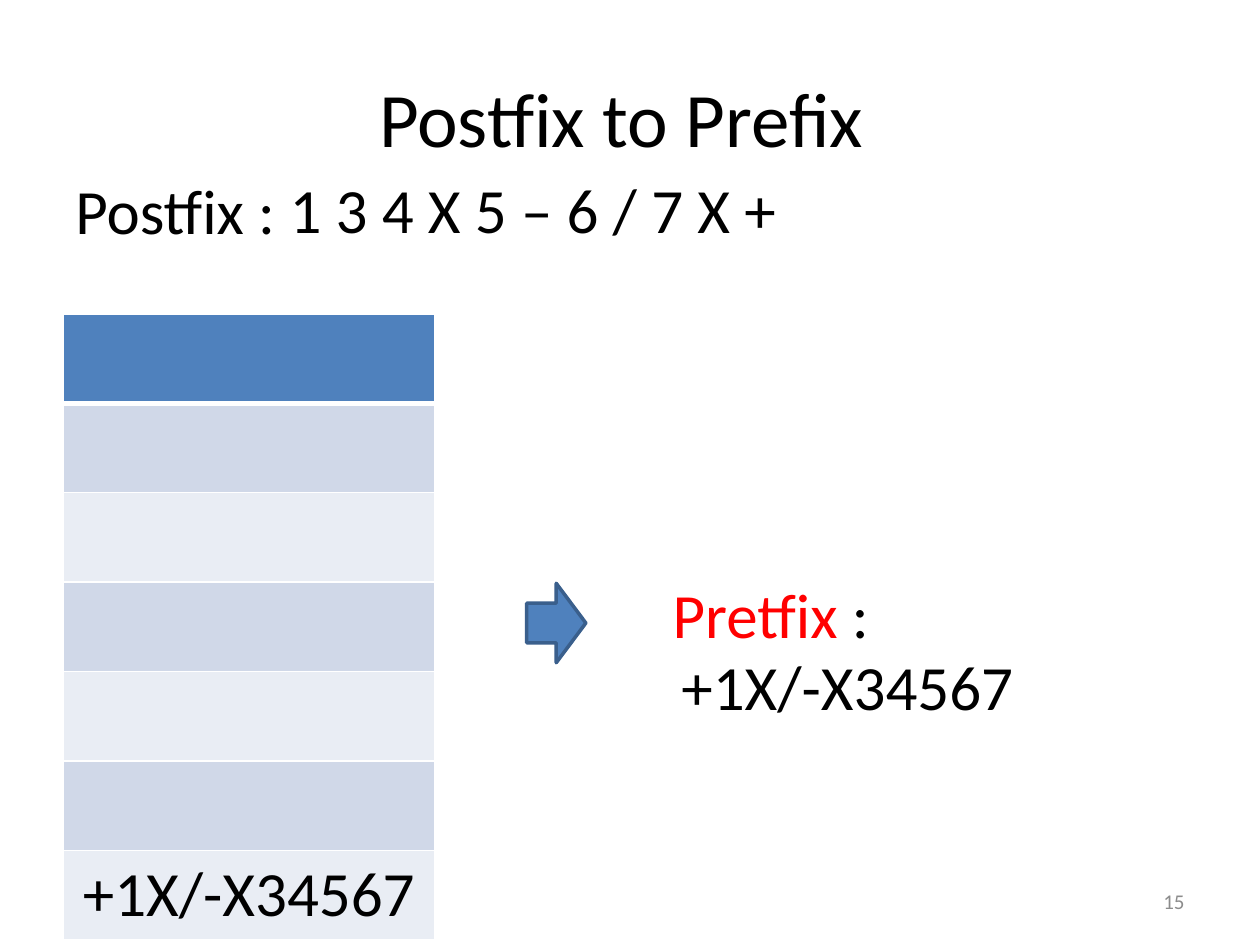
from dataclasses import dataclass

import pptx
import pptx.dml.color
import pptx.enum.shapes
import pptx.enum.text
import pptx.oxml
import pptx.oxml.ns
import pptx.util
from pptx.util import Inches

ALIGN = pptx.enum.text.PP_ALIGN
ANCHOR = pptx.enum.text.MSO_ANCHOR


@dataclass(frozen=True)
class Theme:
    font: str = "Calibri"
    title: int = 44
    body: int = 36
    number: int = 12
    text: str = "000000"
    accent: str = "FF0000"
    muted: str = "8C8C8C"
    header: str = "4F81BD"
    bands: tuple[str, str] = ("D0D8E8", "E9EDF4")
    border: str = "FFFFFF"
    outline: str = "3A5F8C"


THEME = Theme()


@dataclass(frozen=True)
class Label:
    runs: tuple[tuple[str, str], ...]
    left: float
    top: float
    width: float
    height: float = 0.71
    size: int = THEME.body
    align: ALIGN = ALIGN.LEFT
    anchor: ANCHOR = ANCHOR.TOP


PREFIX = "+1X/-X34567"
STACK = ("",) * 6 + (PREFIX,)
LABELS = (
    Label((("1 3 4 X 5 – 6 / 7 X +", THEME.text),), 2.2, 1.3, 6.29),
    Label((("Postfix :", THEME.text),), 0.5, 1.31, 3.67),
    Label((("Pretfix ", THEME.accent), (":", THEME.text)), 5.24, 4.52, 2.05),
    Label(((PREFIX, THEME.text),), 3.58, 5.09, 6.29, align=ALIGN.CENTER),
    Label((("15", THEME.muted),), 7.17, 6.95, 2.33, 0.4, THEME.number,
          ALIGN.RIGHT, ANCHOR.MIDDLE),
)


def rgb(color: str) -> pptx.dml.color.RGBColor:
    return pptx.dml.color.RGBColor.from_string(color)


def style(p, size: int, align: ALIGN) -> None:
    p.alignment = align
    p.font.name = THEME.font
    p.font.size = pptx.util.Pt(size)


def add_title(s, text: str) -> None:
    sp = s.shapes.title
    sp.left, sp.top = Inches(0.5), Inches(0.3)
    sp.width, sp.height = Inches(9), Inches(1.25)
    tf = sp.text_frame
    tf.text = text
    tf.vertical_anchor = ANCHOR.MIDDLE
    p = tf.paragraphs[0]
    style(p, THEME.title, ALIGN.CENTER)
    p.font.color.rgb = rgb(THEME.text)


def add_label(s, label: Label) -> None:
    sp = s.shapes.add_textbox(Inches(label.left), Inches(label.top),
                              Inches(label.width), Inches(label.height))
    tf = sp.text_frame
    tf.word_wrap = True
    tf.vertical_anchor = label.anchor
    p = tf.paragraphs[0]
    style(p, label.size, label.align)
    for text, color in label.runs:
        r = p.add_run()
        r.text = text
        r.font.color.rgb = rgb(color)


def add_border(cell, side: str, width: float) -> None:
    cell._tc.get_or_add_tcPr().append(pptx.oxml.parse_xml(
        f'<a:ln{side} {pptx.oxml.ns.nsdecls("a")} w="{pptx.util.Pt(width)}">'
        f'<a:solidFill><a:srgbClr val="{THEME.border}"/></a:solidFill>'
        f'</a:ln{side}>'))


def add_stack(s, values: tuple[str, ...]) -> None:
    row_height = 0.71
    table = s.shapes.add_table(
        len(values), 1, Inches(0.5), Inches(2.49),
        Inches(2.95), Inches(row_height * len(values))).table
    for i, value in enumerate(values):
        table.rows[i].height = Inches(row_height)
        cell = table.cell(i, 0)
        for side in "LRTB":
            thick = (i, side) in ((0, "B"), (1, "T"))
            add_border(cell, side, 3 if thick else 1)
        cell.fill.solid()
        cell.fill.fore_color.rgb = rgb(THEME.bands[(i - 1) % 2] if i else THEME.header)
        if value:
            cell.text = value
            p = cell.text_frame.paragraphs[0]
            style(p, THEME.body, ALIGN.CENTER)
            p.font.color.rgb = rgb(THEME.text)


def add_arrow(s) -> None:
    sp = s.shapes.add_shape(pptx.enum.shapes.MSO_SHAPE.RIGHT_ARROW,
                            Inches(4.18), Inches(4.63), Inches(0.47), Inches(0.63))
    sp.shadow.inherit = False
    sp.fill.solid()
    sp.fill.fore_color.rgb = rgb(THEME.header)
    sp.line.color.rgb = rgb(THEME.outline)
    sp.line.width = pptx.util.Pt(2)


def main() -> None:
    prs = pptx.Presentation()
    prs.slide_width, prs.slide_height = Inches(10), Inches(7.5)
    s = prs.slides.add_slide(prs.slide_layouts.get_by_name("Title Only"))
    add_title(s, "Postfix to Prefix ")
    add_stack(s, STACK)
    add_arrow(s)
    for label in LABELS:
        add_label(s, label)
    prs.save("out.pptx")


if __name__ == "__main__":
    main()
